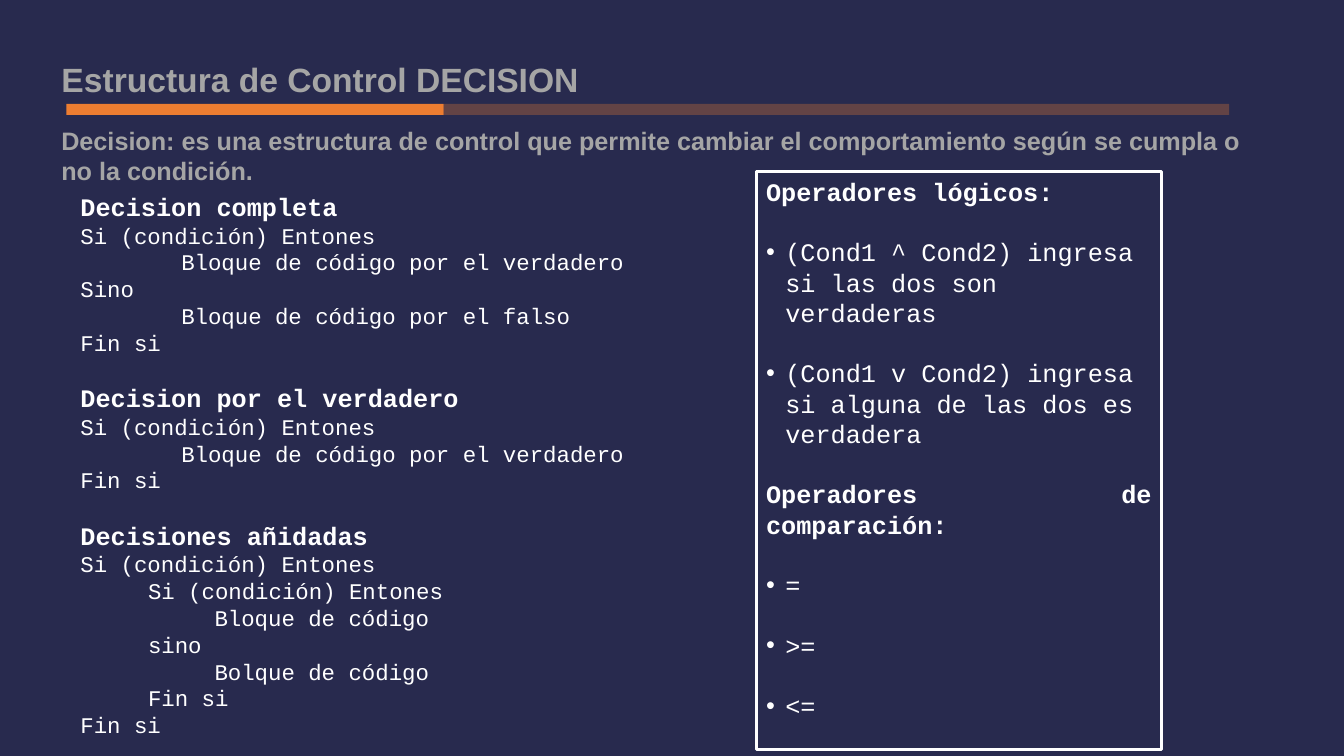
from lxml.etree import SubElement
from pptx import Presentation
from pptx.dml.color import RGBColor
from pptx.enum.shapes import MSO_SHAPE
from pptx.enum.text import MSO_ANCHOR, PP_ALIGN
from pptx.oxml.ns import qn
from pptx.util import Emu, Pt

EMU_PER_PX = 9144  # 100 px to the inch
NAVY = RGBColor(0x28, 0x2A, 0x4E)
ORANGE = RGBColor(0xED, 0x7D, 0x31)
GREY = RGBColor(0xA5, 0xA5, 0xA5)
WHITE = RGBColor(0xFF, 0xFF, 0xFF)
HEADING_FONT = "Arial"
CODE_FONT = "Courier New"

TITLE = "Estructura de Control DECISION"
DEFINITION = ("Decision: es una estructura de control que permite cambiar el "
              "comportamiento según se cumpla o no la condición.")

# Each block: heading, then (indent in px, line of pseudocode)
CODE_BLOCKS = [
    ("Decision completa", [
        (0, "Si (condición) Entones"),
        (100, "Bloque de código por el verdadero"),
        (0, "Sino"),
        (100, "Bloque de código por el falso"),
        (0, "Fin si")]),
    ("Decision por el verdadero", [
        (0, "Si (condición) Entones"),
        (100, "Bloque de código por el verdadero"),
        (0, "Fin si")]),
    ("Decisiones añidadas", [
        (0, "Si (condición) Entones"),
        (67, "Si (condición) Entones"),
        (133, "Bloque de código"),
        (67, "sino"),
        (133, "Bolque de código"),
        (67, "Fin si"),
        (0, "Fin si")]),
]

OPERATOR_GROUPS = [
    ("Operadores lógicos:", [
        "(Cond1 ^ Cond2) ingresa si las dos son verdaderas",
        "(Cond1 v Cond2) ingresa si alguna de las dos es verdadera"]),
    ("Operadores de comparación:", ["=", ">=", "<="]),
]


def px(length):
    return Emu(length * EMU_PER_PX)


def place(shape, box):
    shape.left, shape.top, shape.width, shape.height = map(px, box)


def add_text(frame, text, size=18, color=WHITE, font=CODE_FONT, bold=False,
             align=PP_ALIGN.LEFT, before=0, indent=0, bullet=False):
    """Write one paragraph, using the empty first one when there is one."""
    first = frame.paragraphs[0]
    paragraph = frame.add_paragraph() if first.runs else first
    paragraph.alignment = align
    paragraph.space_before = Pt(before)
    properties = paragraph._p.get_or_add_pPr()
    properties.set("marL", str(px(indent)))
    properties.set("indent", str(px(-indent if bullet else 0)))
    if bullet:
        SubElement(properties, qn("a:buFont"), typeface=HEADING_FONT)
        SubElement(properties, qn("a:buChar"), char="•")
    run = paragraph.add_run()
    run.text = text
    run.font.size = Pt(size)
    run.font.name = font
    run.font.bold = bold
    run.font.color.rgb = color


def prepare_frame(shape):
    frame = shape.text_frame
    frame.word_wrap = True
    frame.vertical_anchor = MSO_ANCHOR.TOP
    return frame


def add_text_box(slide, box):
    return prepare_frame(slide.shapes.add_textbox(*map(px, box)))


def add_rectangle(slide, box):
    shape = slide.shapes.add_shape(MSO_SHAPE.RECTANGLE, *map(px, box))
    shape.shadow.inherit = False
    return shape


def add_heading(slide, box):
    """Title with a two-tone rule below it."""
    left, top, width, height = box
    title = slide.shapes.title
    place(title, (left, top, width, height))
    add_text(prepare_frame(title), TITLE, size=24, color=GREY,
             font=HEADING_FONT, bold=True)

    rule_left, solid_width = left + 15, 374
    for x, rule_width, opacity in ((rule_left, solid_width, 100),
                                   (rule_left + solid_width, 779, 30)):
        rule = add_rectangle(slide, (x, top + height, rule_width, 11))
        rule.line.fill.background()
        rule.fill.solid()
        rule.fill.fore_color.rgb = ORANGE
        if opacity < 100:
            color = rule.fill._xPr.find(".//" + qn("a:srgbClr"))
            SubElement(color, qn("a:alpha"), val=str(opacity * 1000))


def add_definition(slide, box):
    add_text(add_text_box(slide, box), DEFINITION, color=GREY,
             font=HEADING_FONT, bold=True)


def add_code(slide, box):
    frame = add_text_box(slide, box)
    for index, (heading, lines) in enumerate(CODE_BLOCKS):
        add_text(frame, heading, bold=True, align=PP_ALIGN.JUSTIFY,
                 before=19 if index else 0)
        for indent, line in lines:
            add_text(frame, line, size=16, align=PP_ALIGN.JUSTIFY,
                     indent=indent)


def add_operators(slide, box):
    panel = add_rectangle(slide, box)
    panel.fill.background()
    panel.line.color.rgb = WHITE
    panel.line.width = Pt(2)
    frame = prepare_frame(panel)
    gap = 21.6
    for index, (heading, operators) in enumerate(OPERATOR_GROUPS):
        add_text(frame, heading, bold=True, align=PP_ALIGN.JUSTIFY,
                 before=gap if index else 0)
        for operator in operators:
            add_text(frame, operator, before=gap, indent=19, bullet=True)


def main():
    presentation = Presentation()
    presentation.slide_width, presentation.slide_height = px(1333), px(750)
    slide = presentation.slides.add_slide(presentation.slide_layouts[5])
    slide.background.fill.solid()
    slide.background.fill.fore_color.rgb = NAVY

    add_heading(slide, (51, 53, 728, 50))
    add_code(slide, (70, 185, 584, 555))
    add_definition(slide, (51, 119, 1196, 71))
    add_operators(slide, (750, 170, 402, 574))
    presentation.save("out.pptx")


if __name__ == "__main__":
    main()
